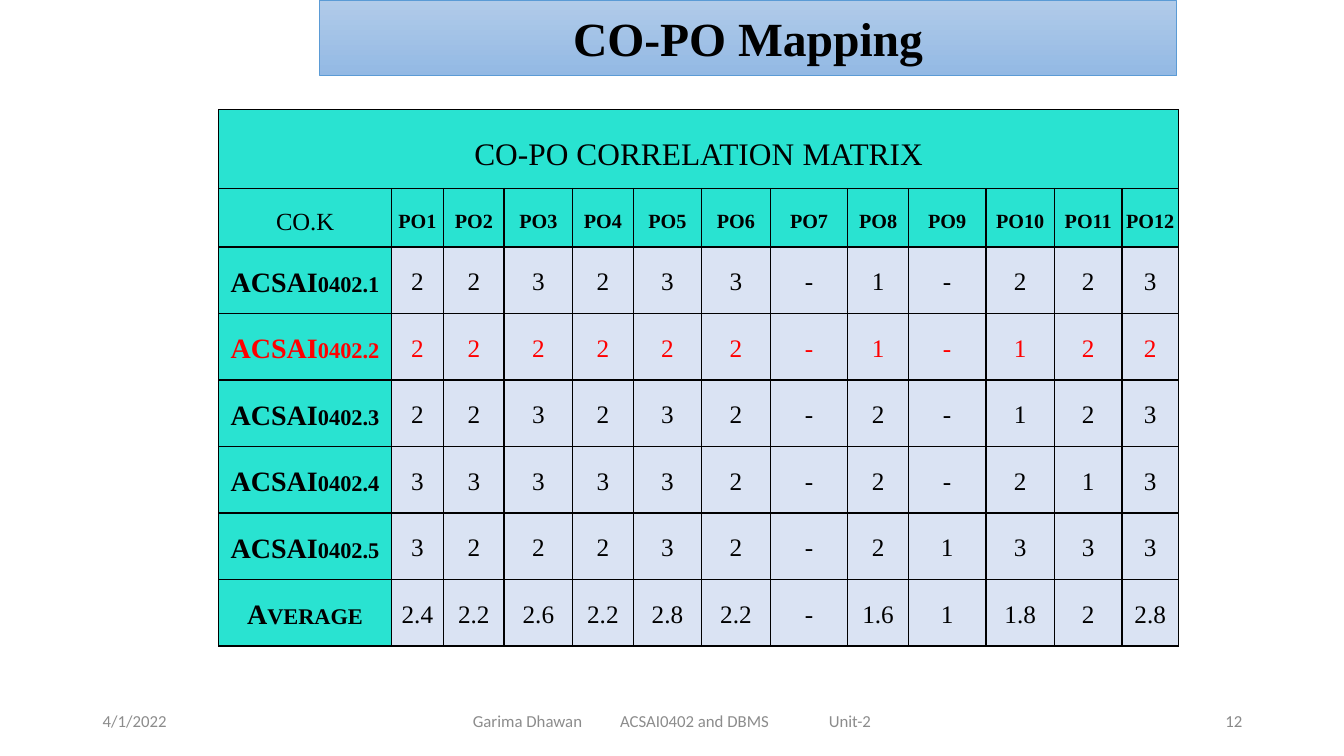
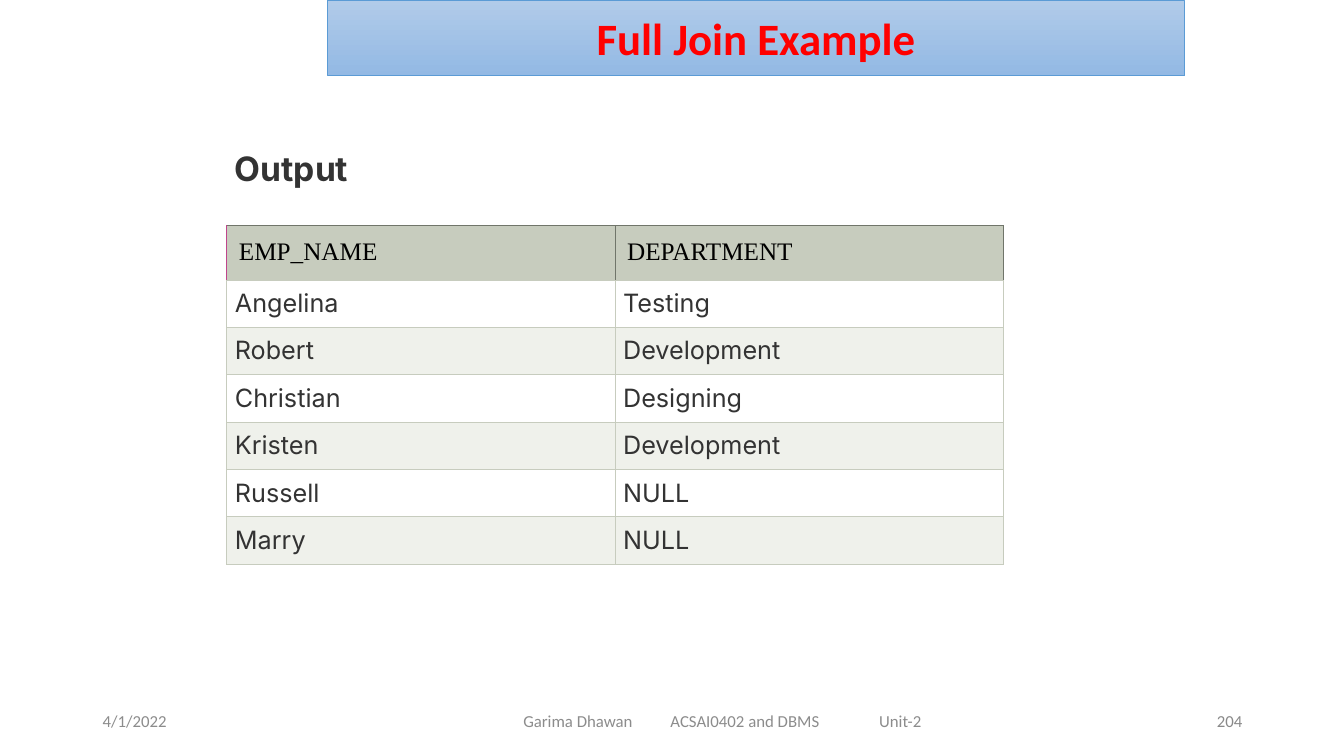
from lxml.etree import SubElement
from pptx import Presentation
from pptx.dml.color import RGBColor
from pptx.enum.shapes import MSO_SHAPE
from pptx.enum.text import MSO_ANCHOR, PP_ALIGN
from pptx.oxml.ns import qn
from pptx.util import Pt

EMU_PER_PX = 9144  # 100 px to the inch
SLIDE_WIDTH, SLIDE_HEIGHT = 1333, 750

SERIF, SANS, INTER = "Times New Roman", "Calibri", "Inter"
BLACK, RED, WHITE, CHARCOAL = "000000", "FF0000", "FFFFFF", "333333"
BAND_TOP, BAND_BOTTOM, BAND_LINE = "B1CBE9", "93B9E4", "5B9BD5"
FOOTER_GREY, NUMBER_GREY = "8C8C8C", "898989"
TEAL, PALE_BLUE = "29E3D1", "DAE3F3"
SAGE, PALE_SAGE, MAGENTA, DARK_SAGE = "C7CCBE", "EFF1EB", "C0458C", "70756A"

FOOTER_TOP, FOOTER_HEIGHT = 695, 40
FOOTER_TEXT = "Garima Dhawan\tACSAI0402 and DBMS\tUnit-2"
FOOTER_TEXT_WIDTH, FOOTER_TABS = 396, (146, 353)

MATRIX_COLUMNS = (171, 52, 60, 68, 60, 68, 68, 77, 60, 77, 68, 67, 56)
MATRIX_ROWS = (78, 58) + (66,) * 6
MATRIX = [
    ("ACSAI0402.1", "2 2 3 2 3 3 - 1 - 2 2 3"),
    ("ACSAI0402.2", "2 2 2 2 2 2 - 1 - 1 2 2"),
    ("ACSAI0402.3", "2 2 3 2 3 2 - 2 - 1 2 3"),
    ("ACSAI0402.4", "3 3 3 3 3 2 - 2 - 2 1 3"),
    ("ACSAI0402.5", "3 2 2 2 3 2 - 2 1 3 3 3"),
    ("Average", "2.4 2.2 2.6 2.2 2.8 2.2 - 1.6 1 1.8 2 2.8"),
]
HIGHLIGHTED_OUTCOME = "ACSAI0402.2"

EMPLOYEES = [
    ("EMP_NAME", "DEPARTMENT"),
    ("Angelina", "Testing"),
    ("Robert", "Development"),
    ("Christian", "Designing"),
    ("Kristen", "Development"),
    ("Russell", "NULL"),
    ("Marry", "NULL"),
]


def px(length):
    return round(length * EMU_PER_PX)


def color(hex_string):
    return RGBColor.from_string(hex_string)


def style_paragraph(paragraph, size, font_name, hex_color, bold=False,
                    align=PP_ALIGN.LEFT, small_caps=False):
    paragraph.alignment = align
    font = paragraph.font
    font.size, font.name, font.bold = Pt(size), font_name, bold
    font.color.rgb = color(hex_color)
    if small_caps:
        paragraph._p.get_or_add_pPr().get_or_add_defRPr().set("cap", "small")


def add_tab_stops(paragraph, positions):
    tab_list = SubElement(paragraph._p.get_or_add_pPr(), qn("a:tabLst"))
    for position in positions:
        SubElement(tab_list, qn("a:tab"), pos=str(px(position)), algn="l")


def add_text(slide, box, text, size, font_name, hex_color, tabs=(), indent=None,
             anchor=MSO_ANCHOR.MIDDLE, **style):
    frame = slide.shapes.add_textbox(*map(px, box)).text_frame
    frame.word_wrap = True
    frame.vertical_anchor = anchor
    if indent is not None:
        frame.margin_left = px(indent)
    paragraph = frame.paragraphs[0]
    paragraph.text = text
    if tabs:
        add_tab_stops(paragraph, tabs)
    style_paragraph(paragraph, size, font_name, hex_color, **style)


def add_footer(slide, number, center_width):
    """Date, course line centred in a box of center_width, and slide number."""
    def footer_box(left, width):
        return left, FOOTER_TOP, width, FOOTER_HEIGHT

    add_text(slide, footer_box(92, 300), "4/1/2022", 12, SANS, FOOTER_GREY)
    add_text(slide, footer_box(442, center_width), FOOTER_TEXT, 12, SANS, FOOTER_GREY,
             tabs=FOOTER_TABS, indent=(center_width - FOOTER_TEXT_WIDTH) // 2)
    add_text(slide, footer_box(942, 300), number, 12, SANS, NUMBER_GREY,
             align=PP_ALIGN.RIGHT)


def add_title_band(slide, left, text, size, font_name, hex_color):
    band = slide.shapes.add_shape(MSO_SHAPE.RECTANGLE, px(left), 0, px(850), px(75))
    band.shadow.inherit = False
    band.fill.gradient()
    band.fill.gradient_angle = 270
    for stop, stop_color in zip(band.fill.gradient_stops, (BAND_TOP, BAND_BOTTOM)):
        stop.color.rgb = color(stop_color)
    band.line.color.rgb = color(BAND_LINE)
    band.line.width = Pt(0.5)
    band.text_frame.vertical_anchor = MSO_ANCHOR.MIDDLE
    paragraph = band.text_frame.paragraphs[0]
    paragraph.text = text
    style_paragraph(paragraph, size, font_name, hex_color, bold=True,
                    align=PP_ALIGN.CENTER)


def add_plain_table(slide, left, top, column_widths, row_heights):
    frame = slide.shapes.add_table(len(row_heights), len(column_widths), px(left), px(top),
                                   px(sum(column_widths)), px(sum(row_heights)))
    table = frame.table
    table.first_row = table.horz_banding = False
    for column, width in zip(table.columns, column_widths):
        column.width = px(width)
    for row, height in zip(table.rows, row_heights):
        row.height = px(height)
    return table


def style_cell(cell, fill, margin, border_width, border_colors):
    """border_colors are for left, right, top and bottom."""
    properties = cell._tc.get_or_add_tcPr()
    for side, border_color in zip("LRTB", border_colors):
        line = SubElement(properties, qn(f"a:ln{side}"), w=str(Pt(border_width)))
        SubElement(SubElement(line, qn("a:solidFill")), qn("a:srgbClr"), val=border_color)
    cell.fill.solid()
    cell.fill.fore_color.rgb = color(fill)
    cell.margin_left = cell.margin_right = px(margin)
    cell.margin_top = cell.margin_bottom = px(margin)


def fill_matrix_cell(cell, text, size, hex_color=BLACK, bold=False, small_caps=True):
    cell.vertical_anchor = MSO_ANCHOR.MIDDLE
    paragraph = cell.text_frame.paragraphs[0]
    paragraph.text = text
    paragraph.line_spacing = 1.15
    paragraph.space_after = Pt(10)
    style_paragraph(paragraph, size, SERIF, hex_color, bold, PP_ALIGN.CENTER, small_caps)


def add_correlation_matrix(slide):
    table = add_plain_table(slide, 217, 109, MATRIX_COLUMNS, MATRIX_ROWS)
    for row in range(len(MATRIX_ROWS)):
        for column in range(len(MATRIX_COLUMNS)):
            fill = TEAL if row < 2 or column == 0 else PALE_BLUE
            style_cell(table.cell(row, column), fill, 0, 1, [BLACK] * 4)

    table.cell(0, 0).merge(table.cell(0, len(MATRIX_COLUMNS) - 1))
    fill_matrix_cell(table.cell(0, 0), "co-po correlation matrix", 28)
    fill_matrix_cell(table.cell(1, 0), "co.k", 22)
    for column in range(1, len(MATRIX_COLUMNS)):
        fill_matrix_cell(table.cell(1, column), f"po{column}", 18, bold=True)
    for row, (outcome, levels) in enumerate(MATRIX, start=2):
        text_color = RED if outcome == HIGHLIGHTED_OUTCOME else BLACK
        fill_matrix_cell(table.cell(row, 0), outcome, 20, text_color, bold=True)
        for column, level in enumerate(levels.split(), start=1):
            fill_matrix_cell(table.cell(row, column), level, 18, text_color,
                             small_caps=False)


def add_employee_table(slide):
    table = add_plain_table(slide, 225, 224, (385, 385), (52,) + (47,) * 6)
    for row, values in enumerate(EMPLOYEES):
        for column, value in enumerate(values):
            cell = table.cell(row, column)
            paragraph = cell.text_frame.paragraphs[0]
            paragraph.text = value
            if row == 0:
                left_color = DARK_SAGE if column else MAGENTA
                style_cell(cell, SAGE, 12, 0.75, (left_color, DARK_SAGE, DARK_SAGE, SAGE))
                style_paragraph(paragraph, 18, SERIF, BLACK)
            else:
                style_cell(cell, WHITE if row % 2 else PALE_SAGE, 8, 0.75, [SAGE] * 4)
                style_paragraph(paragraph, 18, INTER, CHARCOAL, align=PP_ALIGN.JUSTIFY)


def build_mapping_slide(slide):
    add_footer(slide, "12", 450)
    add_title_band(slide, 317, "CO-PO Mapping", 34, SERIF, BLACK)
    add_correlation_matrix(slide)


def build_join_slide(slide):
    add_footer(slide, "204", 550)
    add_employee_table(slide)
    add_text(slide, (223, 142, 667, 50), "Output", 24, INTER, CHARCOAL,
             anchor=MSO_ANCHOR.TOP, bold=True)
    add_title_band(slide, 325, "Full Join Example", 32, SANS, RED)


def main():
    presentation = Presentation()
    presentation.slide_width = px(SLIDE_WIDTH)
    presentation.slide_height = px(SLIDE_HEIGHT)
    blank_layout = presentation.slide_layouts[6]
    for build in (build_mapping_slide, build_join_slide):
        build(presentation.slides.add_slide(blank_layout))
    presentation.save("out.pptx")


if __name__ == "__main__":
    main()
